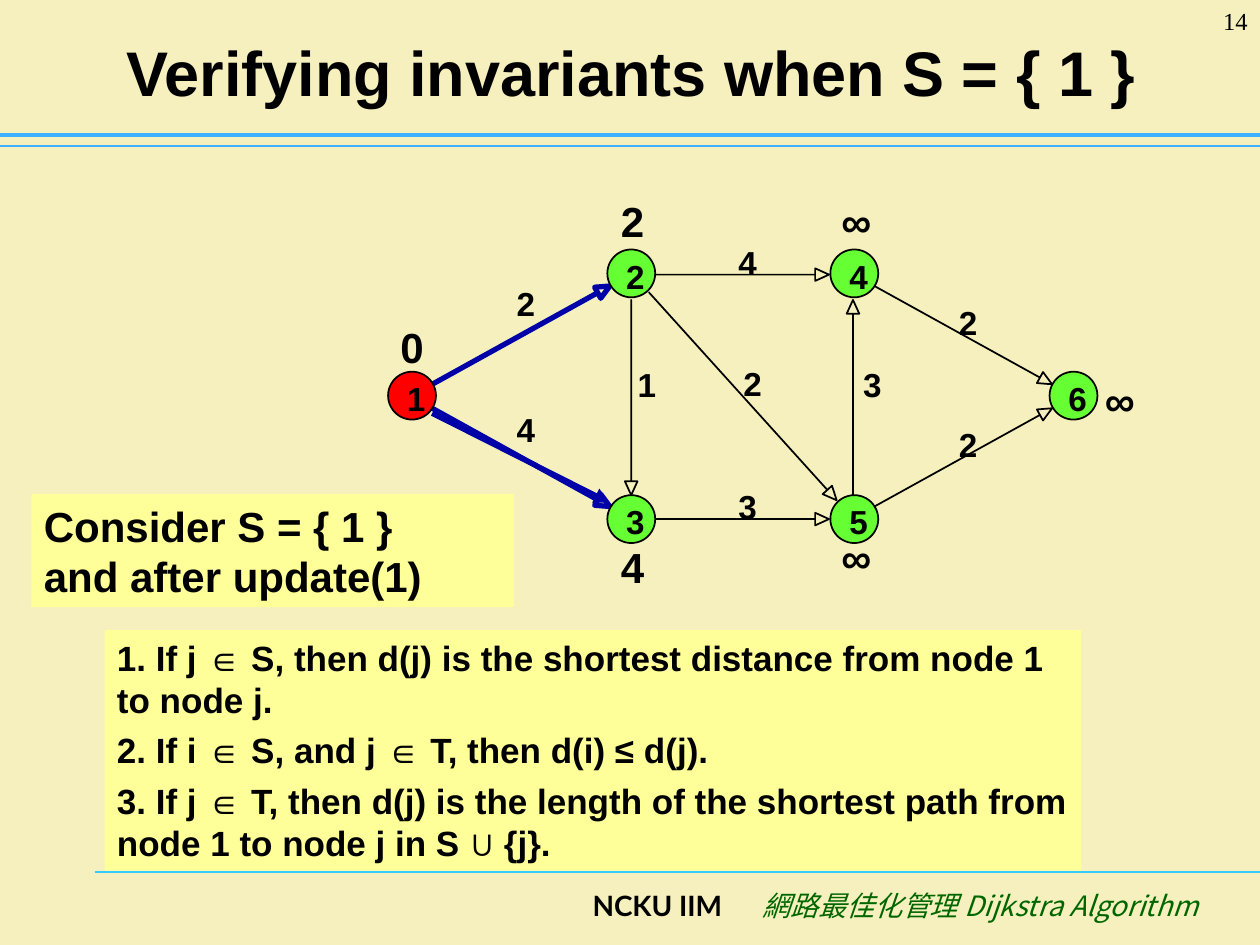
import math
from dataclasses import dataclass

import lxml.etree
import pptx
import pptx.dml.color
import pptx.enum.shapes
import pptx.enum.text
import pptx.oxml.ns
import pptx.slide
import pptx.util

Inches = pptx.util.Inches
Pt = pptx.util.Pt
qn = pptx.oxml.ns.qn
ALIGN = pptx.enum.text.PP_ALIGN
ANCHOR = pptx.enum.text.MSO_ANCHOR

COLORS = {
    "background": "F5F0BD", "black": "000000", "note": "FFFF99",
    "open": "66FF33", "settled": "FF0000", "tree": "0000A8",
    "rule": "3DB0FF", "footer_rule": "33CCFF", "course": "006600",
}
TITLE = {"size": Pt(36), "name": "Arial", "bold": True}
DISTANCE = {**TITLE, "size": Pt(24)}
INVARIANT = {**TITLE, "size": Pt(20)}
LABEL = {**TITLE, "size": Pt(19)}
SCHOOL = {"size": Pt(16), "name": "Lato", "bold": True}
COURSE = {"size": Pt(16), "name": "Noto Sans CJK SC", "italic": True}
PAGE = {"size": Pt(14), "name": "Times New Roman"}

NODE_SIZE = 0.38
HEAD_LENGTH = 0.11
HEAD_HALF_WIDTH = 0.05


@dataclass
class Node:
    label: str
    x: float
    y: float
    color: str = "open"


@dataclass
class Edge:
    start: tuple[float, float]
    end: tuple[float, float]
    weight: str
    label_at: tuple[float, float]
    color: str = "black"
    width: float = 1


@dataclass
class Box:
    lines: list[str]
    x: float
    y: float
    w: float
    h: float
    style: dict
    color: str = "black"
    fill: str = ""
    align: ALIGN = ALIGN.LEFT
    anchor: ANCHOR = ANCHOR.TOP
    margins: tuple[float, float] = (0.1, 0.05)
    gap: float = 0
    wrap: bool = True


@dataclass
class Rule:
    start: tuple[float, float]
    end: tuple[float, float]
    color: str
    width: float
    arrow: bool = False


NODES = [
    Node("2", 4.82, 1.98), Node("3", 4.82, 3.93), Node("4", 6.59, 1.98),
    Node("5", 6.59, 3.93), Node("6", 8.33, 2.95), Node("1", 3.08, 2.95, "settled"),
]
EDGES = [
    Edge((3.43, 3.05), (4.84, 2.27), "2", (4.1, 2.25), "tree", 3),
    Edge((5.21, 2.18), (6.58, 2.18), "4", (5.86, 1.92)),
    Edge((5.15, 2.32), (6.64, 3.97), "2", (5.9, 2.88)),
    Edge((5.01, 2.38), (5.01, 3.93), "1", (5.06, 2.89)),
    Edge((5.21, 4.12), (6.58, 4.12), "3", (5.86, 3.86)),
    Edge((3.43, 3.24), (4.84, 4.02), "4", (4.1, 3.25), "tree", 3),
    Edge((6.94, 2.27), (8.35, 3.05), "2", (7.61, 2.4)),
    Edge((6.77, 3.93), (6.77, 2.38), "3", (6.85, 2.89)),
    Edge((6.94, 4.02), (8.35, 3.24), "2", (7.61, 3.37)),
]
DISTANCES = [
    ("0", 3.08, 2.5), ("2", 4.83, 1.5), ("4", 4.83, 4.25),
    ("∞", 6.58, 1.5), ("∞", 6.58, 4.17), ("∞", 8.67, 2.92),
]
RULES = [
    Rule((0.75, 6.92), (10, 6.92), "footer_rule", 0.75),
    Rule((0, 1.16), (10, 1.16), "rule", 0.75),
    Rule((0, 1.07), (10, 1.07), "rule", 2.5),
]
TREE_ARROW = Rule((3.43, 3.28), (4.84, 3.99), "tree", 3, True)
INVARIANTS = [
    "1. If j ∈ S, then d(j) is the shortest distance from node 1 to node j.",
    "2. If i ∈ S, and j ∈ T, then d(i) ≤ d(j).",
    "3. If j ∈ T, then d(j) is the length of the shortest path from node 1 to node j in S ∪ {j}.",
]
BOXES = [
    Box(["NCKU IIM"], 3.83, 7, 2, 0.5, SCHOOL, align=ALIGN.RIGHT),
    Box(["網路最佳化管理 Dijkstra Algorithm"], 5.61, 7, 4, 0.5, COURSE, "course", align=ALIGN.RIGHT),
    Box(["Verifying invariants when S = { 1 }"], 0.51, 0.13, 9, 0.87, TITLE,
        align=ALIGN.CENTER, anchor=ANCHOR.MIDDLE),
    Box(INVARIANTS, 0.83, 5, 7.75, 1.91, INVARIANT, fill="note", gap=5),
    Box(["Consider S = { 1 }\vand after update(1)"], 0.25, 3.92, 3.83, 0.9, DISTANCE, fill="note"),
    Box(["14"], 9.17, 0, 0.83, 0.5, PAGE, align=ALIGN.RIGHT),
]


def rgb(name: str) -> pptx.dml.color.RGBColor:
    return pptx.dml.color.RGBColor.from_string(COLORS[name])


def add_box(s: pptx.slide.Slide, box: Box) -> None:
    sp = s.shapes.add_textbox(*map(Inches, (box.x, box.y, box.w, box.h)))
    if box.fill:
        sp.fill.solid()
        sp.fill.fore_color.rgb = rgb(box.fill)
    tf = sp.text_frame
    side, top = map(Inches, box.margins)
    frame = {"word_wrap": box.wrap, "vertical_anchor": box.anchor, "margin_left": side,
             "margin_right": side, "margin_top": top, "margin_bottom": top}
    for name, value in frame.items():
        setattr(tf, name, value)
    for i, line in enumerate(box.lines):
        p = tf.add_paragraph() if i else tf.paragraphs[0]
        p.text = line
        p.alignment = box.align
        if i:
            p.space_before = Pt(box.gap)
        for r in p.runs:
            for name, value in box.style.items():
                setattr(r.font, name, value)
            r.font.color.rgb = rgb(box.color)
            ea = lxml.etree.SubElement(r._r.get_or_add_rPr(), qn("a:ea"))
            ea.set("typeface", box.style["name"])


def add_label(s: pptx.slide.Slide, text: str, x: float, y: float) -> None:
    add_box(s, Box([text], x, y, 0.15, 0.32, LABEL, margins=(0, 0), wrap=False))


def add_node(s: pptx.slide.Slide, node: Node) -> None:
    sp = s.shapes.add_shape(pptx.enum.shapes.MSO_SHAPE.OVAL,
                            *map(Inches, (node.x, node.y, NODE_SIZE, NODE_SIZE)))
    sp.shadow.inherit = False
    sp.fill.solid()
    sp.fill.fore_color.rgb = rgb(node.color)
    sp.line.color.rgb = rgb("black")
    sp.line.width = Pt(1)
    add_label(s, node.label, node.x + 0.15, node.y + 0.05)


def add_edge(s: pptx.slide.Slide, edge: Edge) -> None:
    (x1, y1), (x2, y2) = edge.start, edge.end
    length = math.dist(edge.start, edge.end)
    ux, uy = (x2 - x1) / length, (y2 - y1) / length
    bx, by = x2 - HEAD_LENGTH * ux, y2 - HEAD_LENGTH * uy
    dx, dy = -HEAD_HALF_WIDTH * uy, HEAD_HALF_WIDTH * ux
    outline = [(bx, by), (bx + dx, by + dy), (x2, y2), (bx - dx, by - dy), (bx, by)]
    builder = s.shapes.build_freeform(Inches(x1), Inches(y1))
    builder.add_line_segments([(Inches(x), Inches(y)) for x, y in outline], close=True)
    sp = builder.convert_to_shape()
    sp.shadow.inherit = False
    sp.fill.background()
    sp.line.color.rgb = rgb(edge.color)
    sp.line.width = Pt(edge.width)
    add_label(s, edge.weight, *edge.label_at)


def add_rule(s: pptx.slide.Slide, rule: Rule) -> None:
    line = s.shapes.add_connector(pptx.enum.shapes.MSO_CONNECTOR.STRAIGHT,
                                  *map(Inches, rule.start + rule.end))
    line.line.color.rgb = rgb(rule.color)
    line.line.width = Pt(rule.width)
    if rule.arrow:
        lxml.etree.SubElement(line.line._get_or_add_ln(), qn("a:tailEnd")).set("type", "triangle")
    lxml.etree.SubElement(line._element.spPr, qn("a:effectLst"))


def main() -> None:
    prs = pptx.Presentation()
    prs.slide_width, prs.slide_height = Inches(10), Inches(7.5)
    s = prs.slides.add_slide(prs.slide_layouts[6])
    s.background.fill.solid()
    s.background.fill.fore_color.rgb = rgb("background")
    for rule in RULES:
        add_rule(s, rule)
    for box in BOXES:
        add_box(s, box)
    for edge in EDGES:
        add_edge(s, edge)
    for node in NODES:
        add_node(s, node)
    for text, x, y in DISTANCES:
        add_box(s, Box([text], x, y, 0.42, 0.5, DISTANCE))
    add_rule(s, TREE_ARROW)
    prs.save("out.pptx")


if __name__ == "__main__":
    main()
